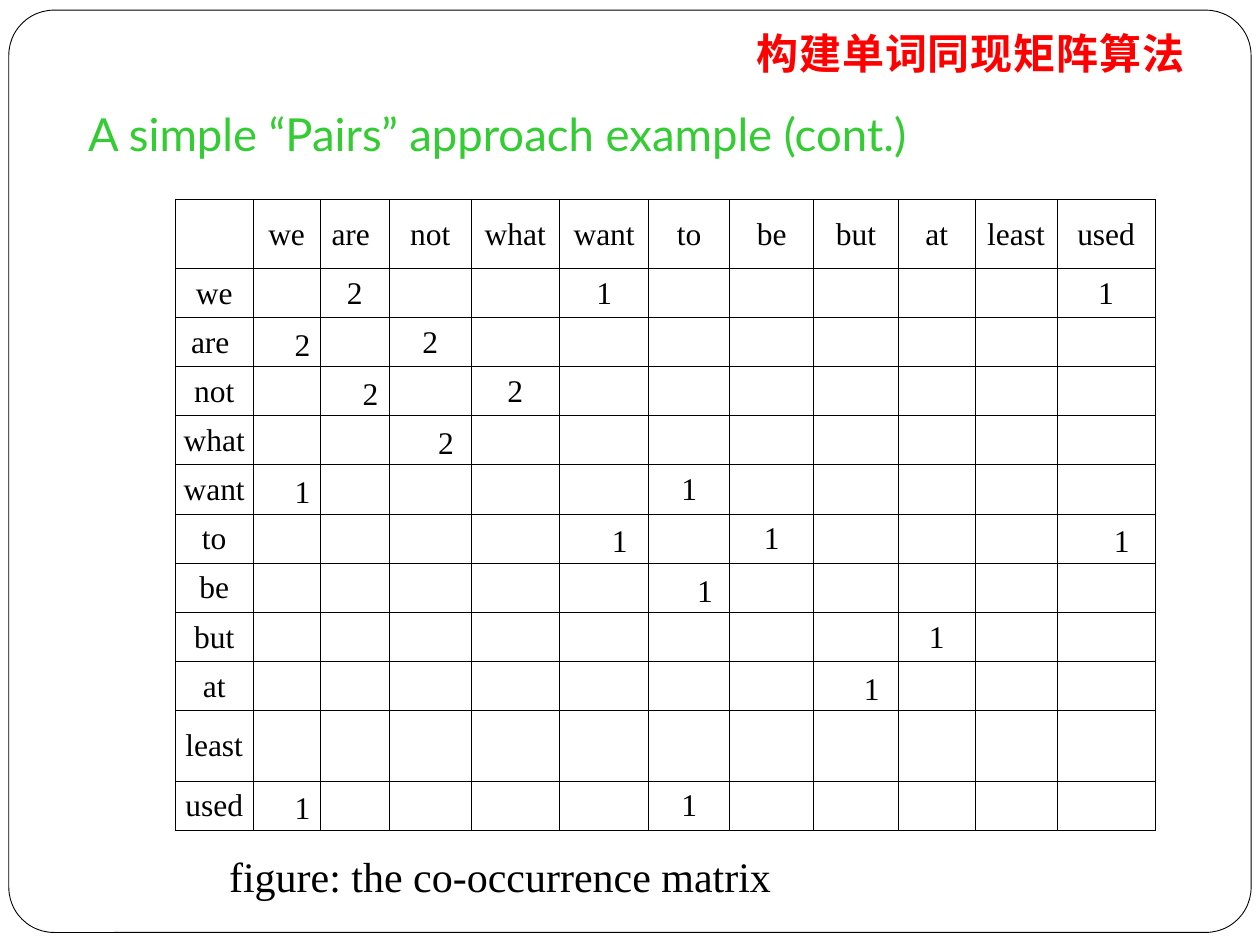
import pptx
import pptx.dml.color
import pptx.enum.shapes
import pptx.enum.text
import pptx.oxml
import pptx.oxml.ns
import pptx.util

SLIDE_WIDTH = pptx.util.Inches(10)
SLIDE_HEIGHT = pptx.util.Inches(7.5)
ALIGN = pptx.enum.text.PP_ALIGN
ANCHOR = pptx.enum.text.MSO_ANCHOR
SERIF = "Times New Roman"
SANS = "Lato"

WORDS = ["we", "are ", "not", "what", "want", "to", "be", "but", "at", "least", "used"]
# Each count is set plainly at (row, column) and indented at its mirrored cell.
PAIR_COUNTS = {
    ("we", "are "): 2,
    ("we", "want"): 1,
    ("we", "used"): 1,
    ("are ", "not"): 2,
    ("not", "what"): 2,
    ("want", "to"): 1,
    ("to", "be"): 1,
    ("but", "at"): 1,
    ("used", "to"): 1,
}
MIRROR_INDENT = "　"
COLUMN_WIDTHS = [0.62, 0.53, 0.55, 0.65, 0.7, 0.71, 0.64, 0.67, 0.67, 0.61, 0.65, 0.78]
ROW_HEIGHT = 0.39
TALL_ROWS = {0: 0.55, 10: 0.56}


def color(hex_string):
    return pptx.dml.color.RGBColor.from_string(hex_string)


def area(left, top, width, height):
    """Turn percentages of the slide into left, top, width and height."""
    return [
        int(SLIDE_WIDTH * left / 100),
        int(SLIDE_HEIGHT * top / 100),
        int(SLIDE_WIDTH * width / 100),
        int(SLIDE_HEIGHT * height / 100),
    ]


def add_run(paragraph, text, size, font_name, hex_color="000000", bold=False):
    run = paragraph.add_run()
    run.text = text
    run.font.size = pptx.util.Pt(size)
    run.font.name = font_name
    run.font.bold = bold
    run.font.color.rgb = color(hex_color)
    return run


def add_frame(slide):
    frame = slide.shapes.add_shape(
        pptx.enum.shapes.MSO_SHAPE.ROUNDED_RECTANGLE, *area(0.7, 1.07, 98.6, 97.6)
    )
    frame.adjustments[0] = 0.049
    frame.shadow.inherit = False
    frame.fill.solid()
    frame.fill.fore_color.rgb = color("FFFFFF")
    frame.line.color.rgb = color("000000")
    frame.line.width = pptx.util.Pt(0.5)


def add_text(slide, place, text, size, font_name, hex_color, bold=False):
    """Add a one-line text box; return its shape and its run."""
    shape = slide.shapes.add_textbox(*area(*place))
    shape.text_frame.word_wrap = True
    paragraph = shape.text_frame.paragraphs[0]
    return shape, add_run(paragraph, text, size, font_name, hex_color, bold)


def add_heading(slide):
    shape, run = add_text(
        slide, (10, 2.53, 85, 7.07), "构建单词同现矩阵算法", 24, SANS, "FF0000", bold=True
    )
    shape.text_frame.vertical_anchor = ANCHOR.BOTTOM
    shape.text_frame.margin_bottom = pptx.util.Inches(0.1)
    shape.text_frame.paragraphs[0].alignment = ALIGN.RIGHT
    run.font._element.set("spc", "50")


def matrix_text(row, column):
    if row == 0 or column == 0:
        return ([""] + WORDS)[row + column]
    pair = WORDS[row - 1], WORDS[column - 1]
    if pair in PAIR_COUNTS:
        return str(PAIR_COUNTS[pair])
    if pair[::-1] in PAIR_COUNTS:
        return MIRROR_INDENT + str(PAIR_COUNTS[pair[::-1]])
    return ""


def set_borders(cell, hex_color, points):
    properties = cell._tc.get_or_add_tcPr()
    for index, side in enumerate(("lnL", "lnR", "lnT", "lnB")):
        border = pptx.oxml.parse_xml(
            f'<a:{side} {pptx.oxml.ns.nsdecls("a")} w="{pptx.util.Pt(points)}">'
            f'<a:solidFill><a:srgbClr val="{hex_color}"/></a:solidFill></a:{side}>'
        )
        properties.insert(index, border)


def format_cell(cell, text):
    cell.fill.background()
    set_borders(cell, "000000", 0.5)
    cell.vertical_anchor = ANCHOR.MIDDLE
    cell.margin_left = cell.margin_right = cell.margin_top = pptx.util.Inches(0.01)
    cell.margin_bottom = 0
    paragraph = cell.text_frame.paragraphs[0]
    paragraph.alignment = ALIGN.CENTER
    if text:
        add_run(paragraph, text, 18, SERIF)


def add_matrix(slide):
    size = len(WORDS) + 1
    table = slide.shapes.add_table(size, size, *area(13.9, 21.07, 77.8, 67.07)).table
    table.first_row = table.horz_banding = False
    for column, width in zip(table.columns, COLUMN_WIDTHS):
        column.width = pptx.util.Inches(width)
    for row_index, row in enumerate(table.rows):
        row.height = pptx.util.Inches(TALL_ROWS.get(row_index, ROW_HEIGHT))
        for column_index, cell in enumerate(row.cells):
            format_cell(cell, matrix_text(row_index, column_index))


def main():
    presentation = pptx.Presentation()
    presentation.slide_width = SLIDE_WIDTH
    presentation.slide_height = SLIDE_HEIGHT
    slide = presentation.slides.add_slide(presentation.slide_layouts[6])
    add_frame(slide)
    add_matrix(slide)
    add_text(slide, (6, 10.53, 81.8, 7.07),
             "A simple “Pairs” approach example (cont.)", 26, SANS, "33CC33")
    add_text(slide, (17.2, 89.33, 64, 6.67),
             "figure: the co-occurrence matrix", 24, SERIF, "000000")
    add_heading(slide)
    presentation.save("out.pptx")


if __name__ == "__main__":
    main()
